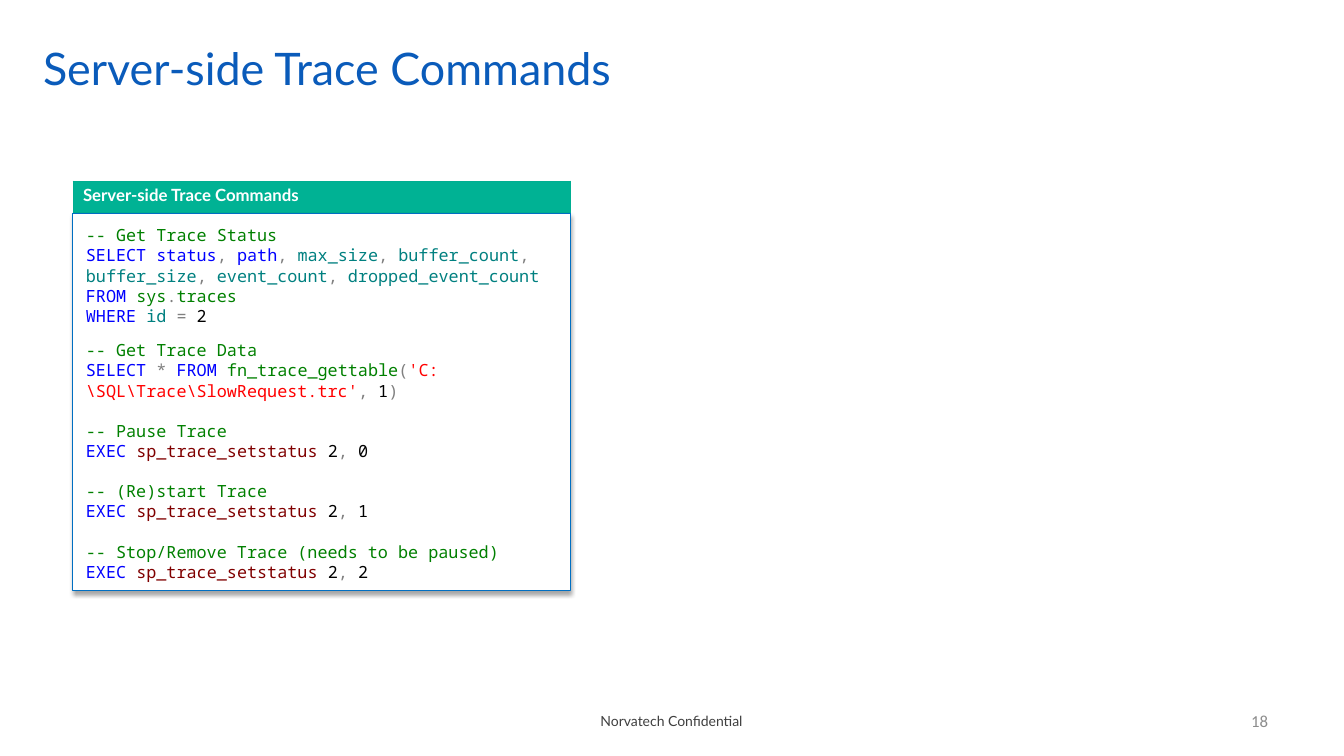
from lxml import etree
from pptx import Presentation
from pptx.dml.color import RGBColor
from pptx.enum.shapes import MSO_SHAPE
from pptx.enum.text import MSO_ANCHOR, PP_ALIGN
from pptx.oxml import parse_xml
from pptx.oxml.ns import nsdecls, qn
from pptx.util import Emu, Pt

RECTANGLE = MSO_SHAPE.RECTANGLE
TOP, MIDDLE = MSO_ANCHOR.TOP, MSO_ANCHOR.MIDDLE
LEFT, CENTER, RIGHT = PP_ALIGN.LEFT, PP_ALIGN.CENTER, PP_ALIGN.RIGHT

# Content
HEADING = "Server-side Trace Commands"
FOOTER = "Norvatech Confidential"
SLIDE_NUMBER = "18"
SYNTAX_COLORS = {
    "comment": "008000", "keyword": "0000FF", "sign": "808080", "name": "008080",
    "object": "008000", "string": "FF0000", "procedure": "800000", "number": "000000",
}
COMMA = ("sign", ", ")


def set_status(comment, value):
    return [
        [("comment", comment)],
        [("keyword", "EXEC "), ("procedure", "sp_trace_setstatus "), ("number", "2"),
         ("sign", ","), ("number", f" {value}")],
    ]


STATUS_QUERY = [
    [("comment", "-- Get Trace Status")],
    [("keyword", "SELECT status"), COMMA, ("keyword", "path"), COMMA,
     ("name", "max_size"), COMMA, ("name", "buffer_count"), COMMA,
     ("name", "buffer_size"), COMMA, ("name", "event_count"), COMMA,
     ("name", "dropped_event_count ")],
    [("keyword", "FROM "), ("object", "sys"), ("sign", "."), ("object", "traces ")],
    [("keyword", "WHERE "), ("name", "id "), ("sign", "="), ("number", " 2")],
]
TRACE_COMMANDS = [
    [("comment", "-- Get Trace Data")],
    [("keyword", "SELECT "), ("sign", "* "), ("keyword", "FROM "),
     ("object", "fn_trace_gettable"), ("sign", "("),
     ("string", r"'C:\SQL\Trace\SlowRequest.trc'"), ("sign", ","),
     ("number", " 1"), ("sign", ")")],
    *set_status("-- Pause Trace", 0),
    *set_status("-- (Re)start Trace", 1),
    *set_status("-- Stop/Remove Trace (needs to be paused)", 2),
]

# Layout in pixels
PANEL_LEFT, PANEL_TOP, PANEL_WIDTH = 73, 181, 498
HEADER_HEIGHT, EMPTY_ROW_HEIGHT = 31, 123
CODE_LEFT, CODE_WIDTH = 76, 504
FOOTER_TOP, FOOTER_HEIGHT = 701, 40
CODE_LINE = Pt(14.4)


def px(*lengths):
    return [Emu(round(length * 914400 / 100.8)) for length in lengths]


def color(value):
    return RGBColor.from_string(value)


def format_font(run, font_name, size, value, bold=False):
    run.font.name, run.font.size, run.font.bold = font_name, Pt(size), bold
    run.font.color.rgb = color(value)


def write_line(frame, text, font_name, size, value, align=LEFT, bold=False):
    frame.text = text
    paragraph = frame.paragraphs[0]
    paragraph.alignment = align
    format_font(paragraph.runs[0], font_name, size, value, bold)
    return paragraph


def add_text_frame(box, anchor):
    frame = slide.shapes.add_textbox(*px(*box)).text_frame
    frame.word_wrap = True
    frame.vertical_anchor = anchor
    return frame


def add_code(top, height, lines):
    frame = add_text_frame((CODE_LEFT, top, CODE_WIDTH, height), TOP)
    for index, line in enumerate(lines):
        paragraph = frame.add_paragraph() if index else frame.paragraphs[0]
        paragraph.line_spacing = CODE_LINE
        if index and line[0][0] == "comment":
            paragraph.space_before = CODE_LINE
        for role, text in line:
            run = paragraph.add_run()
            run.text = text
            format_font(run, "Noto Sans Mono", 12, SYNTAX_COLORS[role])


def set_borders(cell, value, width):
    properties = cell._tc.get_or_add_tcPr()
    for index, side in enumerate(("lnL", "lnR", "lnT", "lnB")):
        border = parse_xml(
            f'<a:{side} {nsdecls("a")} w="{Pt(width)}"><a:solidFill>'
            f'<a:srgbClr val="{value}"/></a:solidFill></a:{side}>')
        properties.insert(index, border)


presentation = Presentation()
presentation.slide_width, presentation.slide_height = px(1344, 756)
slide = presentation.slides.add_slide(presentation.slide_layouts[5])

# Title
title = slide.shapes.title
title.left, title.top, title.width, title.height = px(33, 33, 1243, 76)
title.text_frame.vertical_anchor = MIDDLE
write_line(title.text_frame, HEADING, "Lato", 32, "0A5BBA").line_spacing = 0.9

# Footer and slide number
footer = add_text_frame((515, FOOTER_TOP, 313, FOOTER_HEIGHT), MIDDLE)
write_line(footer, FOOTER, "Lato", 10, "3F3F3F", CENTER)
number = add_text_frame((976, FOOTER_TOP, 302, FOOTER_HEIGHT), MIDDLE)
write_line(number, SLIDE_NUMBER, "Calibri", 12, "8C8C8C", RIGHT)

# Panel header table
row_heights = (HEADER_HEIGHT, EMPTY_ROW_HEIGHT)
table = slide.shapes.add_table(
    2, 1, *px(PANEL_LEFT, PANEL_TOP, PANEL_WIDTH, sum(row_heights))).table
for row, height in zip(table.rows, px(*row_heights)):
    row.height = height
    cell = row.cells[0]
    cell.margin_top, cell.margin_bottom = px(4, 4)
    cell.fill.background()
    set_borders(cell, "00AE91", 0.75)
header = table.cell(0, 0)
header.fill.solid()
header.fill.fore_color.rgb = color("00B294")
write_line(header.text_frame, HEADING, "Lato", 12, "FFFFFF", bold=True)

# Code panel with a soft shadow below
panel = slide.shapes.add_shape(RECTANGLE, *px(PANEL_LEFT, 214, PANEL_WIDTH, 377))
panel.fill.solid()
panel.fill.fore_color.rgb = color("FFFFFF")
panel.line.color.rgb = color("006FC2")
panel.line.width = Pt(0.75)
panel.shadow.inherit = False
effects = panel._element.spPr.find(qn("a:effectLst"))
shadow = etree.SubElement(effects, qn("a:outerShdw"), blurRad=str(Pt(3.1)),
                          dist=str(Pt(1.8)), dir="5400000", rotWithShape="0")
shadow_color = etree.SubElement(shadow, qn("a:srgbClr"), val="000000")
etree.SubElement(shadow_color, qn("a:alpha"), val="35000")

# Code
add_code(220, 112, STATUS_QUERY)
add_code(335, 254, TRACE_COMMANDS)

presentation.save("out.pptx")
